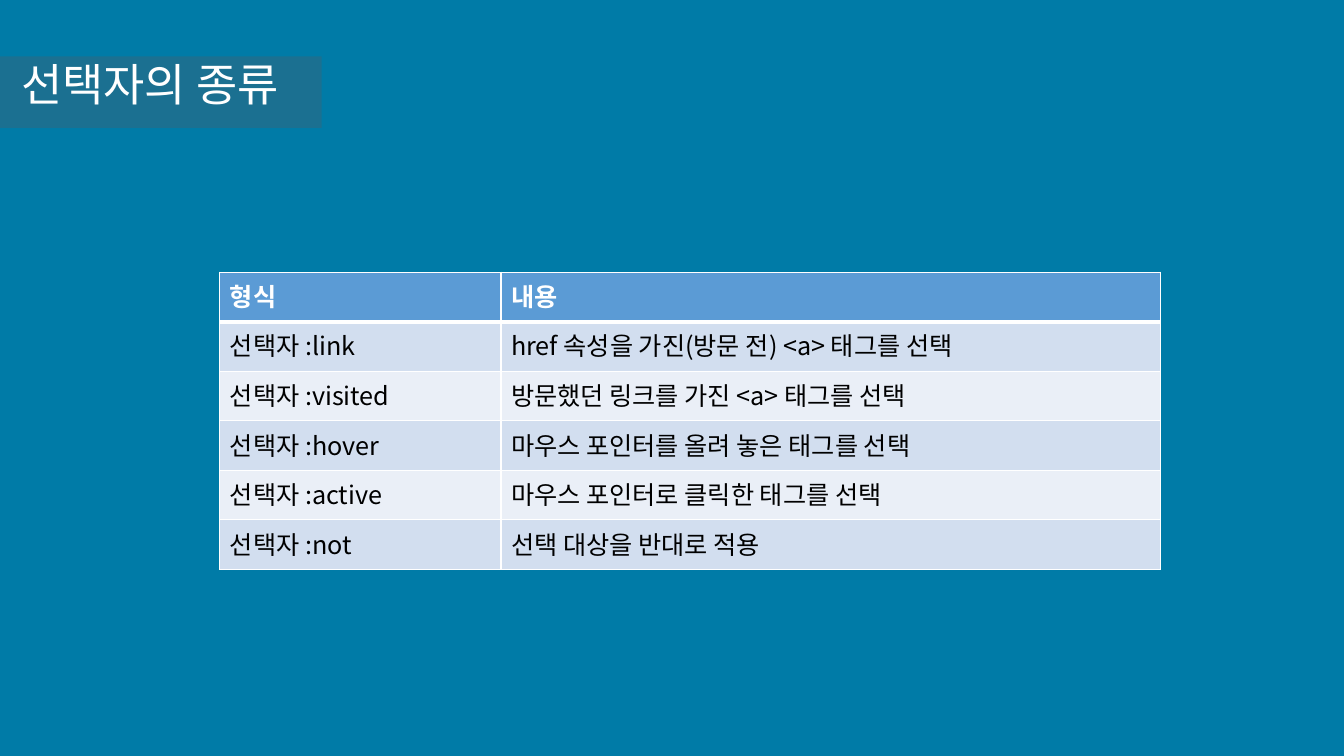
from dataclasses import dataclass

import lxml.etree
import pptx
import pptx.dml.color
import pptx.enum.shapes
import pptx.enum.text
import pptx.oxml
import pptx.oxml.ns
import pptx.util

Pt = pptx.util.Pt
FONT = "Noto Sans CJK KR"
WHITE = "FFFFFF"
BLACK = "000000"
BACKGROUND = "007BA7"
BAND = "615758"
HEADER_FILL = "5B9BD5"
ROW_FILLS = ("D2DEEF", "EAEFF7")
COLUMN_WIDTHS = (200.9, 470.9)
ROW_HEIGHT = 35.4
TABLE_LEFT = 157
TABLE_TOP = 194.4


@dataclass
class SelectorRow:
    form: str
    content: str


ROWS = [
    SelectorRow("형식", "내용"),
    SelectorRow("선택자 :link", "href 속성을 가진(방문 전) <a> 태그를 선택"),
    SelectorRow("선택자 :visited", "방문했던 링크를 가진 <a> 태그를 선택"),
    SelectorRow("선택자 :hover", "마우스 포인터를 올려 놓은 태그를 선택"),
    SelectorRow("선택자 :active", "마우스 포인터로 클릭한 태그를 선택"),
    SelectorRow("선택자 :not", "선택 대상을 반대로 적용"),
]


def add_element(parent, tag: str, **attributes: str):
    element = lxml.etree.SubElement(parent, pptx.oxml.ns.qn(tag))
    for name, value in attributes.items():
        element.set(name, value)
    return element


def set_fill(fill, color: str) -> None:
    fill.solid()
    fill.fore_color.rgb = pptx.dml.color.RGBColor.from_string(color)


def write_text(text_frame, text: str, size: float, color: str, bold: bool, shadow: bool = False) -> None:
    paragraph = text_frame.paragraphs[0]
    paragraph.alignment = pptx.enum.text.PP_ALIGN.LEFT
    run = paragraph.add_run()
    run.text = text
    set_fill(run.font.fill, color)
    properties = run.font._element
    if shadow:
        effects = add_element(properties, "a:effectLst")
        outer = add_element(effects, "a:outerShdw", blurRad="38100", dist="38100", dir="2700000", algn="tl")
        shade = add_element(outer, "a:srgbClr", val=BLACK)
        add_element(shade, "a:alpha", val="43000")
    for name, value in {"size": Pt(size), "bold": bold, "name": FONT}.items():
        setattr(run.font, name, value)
    add_element(properties, "a:ea", typeface=FONT)


def add_borders(cell, widths: dict[str, float]) -> None:
    properties = cell._tc.get_or_add_tcPr()
    for side, width in widths.items():
        line = add_element(properties, f"a:ln{side}", w=str(Pt(width)))
        fill = add_element(line, "a:solidFill")
        add_element(fill, "a:srgbClr", val=WHITE)


def add_band(slide) -> None:
    band = slide.shapes.add_shape(
        pptx.enum.shapes.MSO_SHAPE.RECTANGLE, Pt(-71.3), Pt(40.3), Pt(301), Pt(51.1)
    )
    band.shadow.inherit = False
    set_fill(band.fill, BAND)
    color = band._element.spPr.find(".//" + pptx.oxml.ns.qn("a:srgbClr"))
    add_element(color, "a:alpha", val="28000")
    band.line.fill.background()
    slide.shapes._spTree.remove(band._element)
    slide.shapes._spTree.insert(2, band._element)


def format_title(slide) -> None:
    title = slide.shapes.title
    for name, value in {"left": 7.9, "top": 41, "width": 521.3, "height": 46.1}.items():
        setattr(title, name, Pt(value))
    frame_format = {
        "word_wrap": True,
        "auto_size": pptx.enum.text.MSO_AUTO_SIZE.SHAPE_TO_FIT_TEXT,
        "vertical_anchor": pptx.enum.text.MSO_ANCHOR.TOP,
    }
    for name, value in frame_format.items():
        setattr(title.text_frame, name, value)
    write_text(title.text_frame, "선택자의 종류", 32, WHITE, False, shadow=True)
    title.text_frame.paragraphs[0].line_spacing = 0.9


def add_selector_table(slide) -> None:
    table = slide.shapes.add_table(
        len(ROWS), len(COLUMN_WIDTHS), Pt(TABLE_LEFT), Pt(TABLE_TOP),
        Pt(sum(COLUMN_WIDTHS)), Pt(ROW_HEIGHT * len(ROWS)),
    ).table
    for column, width in zip(table.columns, COLUMN_WIDTHS):
        column.width = Pt(width)
    for index, selector in enumerate(ROWS):
        table.rows[index].height = Pt(ROW_HEIGHT)
        is_header = index == 0
        fill = HEADER_FILL if is_header else ROW_FILLS[(index - 1) % 2]
        borders = {"L": 1, "R": 1, "T": 3 if index == 1 else 1, "B": 3 if is_header else 1}
        for column_index, text in enumerate((selector.form, selector.content)):
            cell = table.cell(index, column_index)
            add_borders(cell, borders)
            set_fill(cell.fill, fill)
            write_text(cell.text_frame, text, 18, WHITE if is_header else BLACK, is_header)


def main() -> None:
    presentation = pptx.Presentation()
    presentation.slide_width = Pt(960)
    presentation.slide_height = Pt(540)
    slide = presentation.slides.add_slide(presentation.slide_layouts[5])
    set_fill(slide.background.fill, BACKGROUND)
    add_band(slide)
    format_title(slide)
    add_selector_table(slide)
    presentation.save("out.pptx")


if __name__ == "__main__":
    main()
